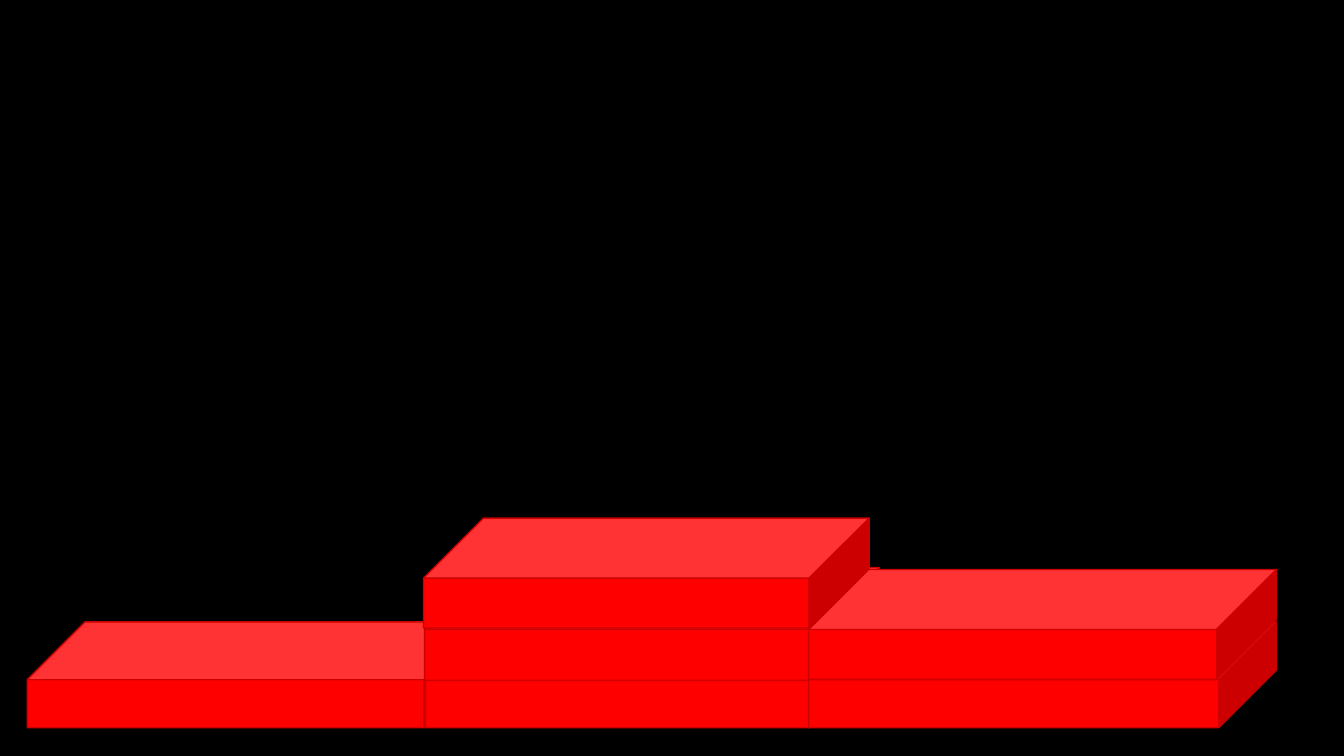
"""Build a slide with a three-step red winners' podium on black."""
from pptx import Presentation
from pptx.dml.color import RGBColor
from pptx.enum.shapes import MSO_SHAPE
from pptx.util import Inches, Pt

COLORS = {"background": "000000", "block": "FF0000", "edge": "CC0000"}
DEPTH = 0.546

deck = Presentation()
deck.slide_width, deck.slide_height = Inches(13.33), Inches(7.5)
page = deck.slides.add_slide(deck.slide_layouts[6])
page.background.fill.solid()
page.background.fill.fore_color.rgb = RGBColor.from_string(COLORS["background"])

third_place = [(0.27, 6.17, 4.51, 1.05)]
first_place_lower = [(4.22, 5.93, 4.51, 1.29), (4.21, 5.63, 4.51, 1.12)]
second_place = [(8.02, 6.17, 4.64, 1.05), (8.02, 5.65, 4.64, 1.09)]
first_place_top = [(4.2, 5.14, 4.42, 1.09)]

for bounds in third_place + first_place_lower + second_place + first_place_top:
    block = page.shapes.add_shape(MSO_SHAPE.CUBE, *map(Inches, bounds))
    block.adjustments[0] = DEPTH
    block.shadow.inherit = False
    block.fill.solid()
    block.fill.fore_color.rgb = RGBColor.from_string(COLORS["block"])
    block.line.color.rgb = RGBColor.from_string(COLORS["edge"])
    block.line.width = Pt(1)

deck.save("out.pptx")
